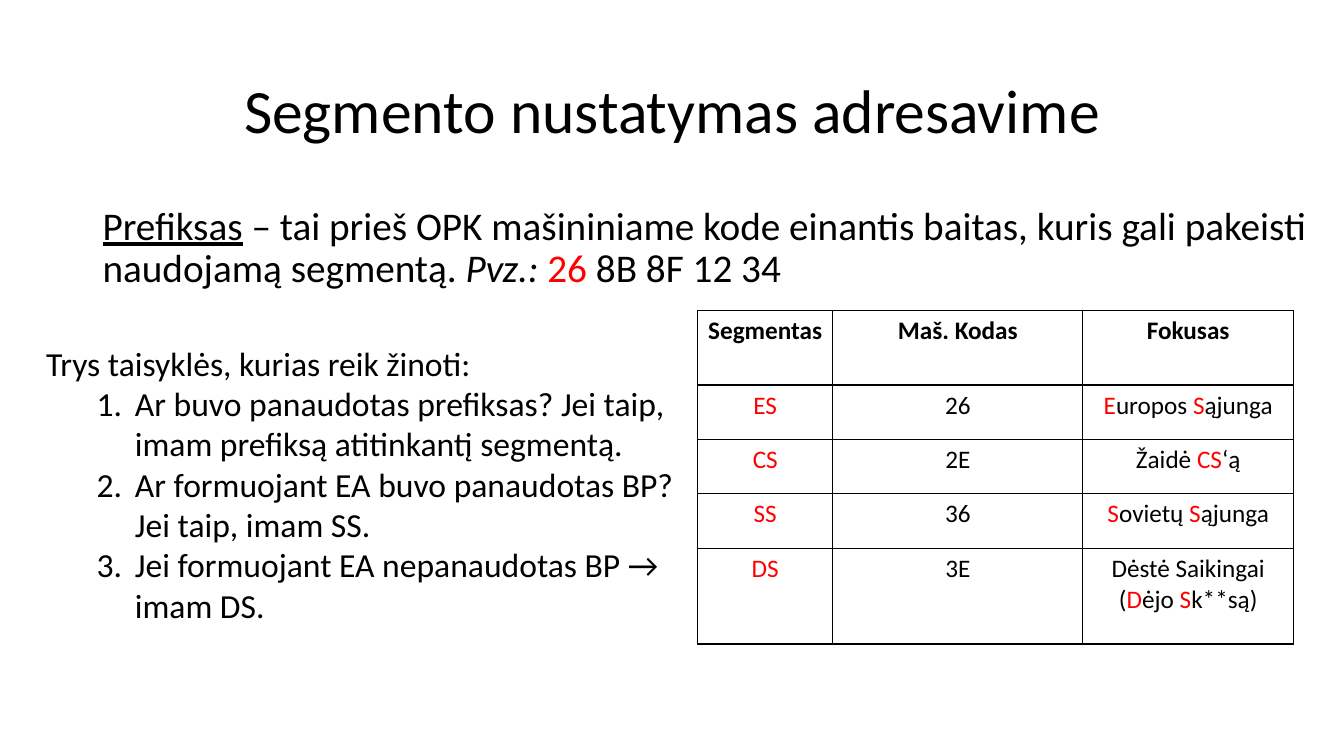
"""Build the slide on choosing a segment in addressing."""
from dataclasses import dataclass

from lxml.etree import SubElement
from pptx import Presentation
from pptx.dml.color import RGBColor
from pptx.enum.text import MSO_ANCHOR, PP_ALIGN
from pptx.oxml import parse_xml
from pptx.oxml.ns import nsdecls, qn
from pptx.util import Pt

PX = 9144
FONT = "Calibri"
BLACK, RED, WHITE = "000000", "FF0000", "FFFFFF"


@dataclass(frozen=True)
class Span:
    text: str
    color: str = BLACK
    bold: bool = False
    italic: bool = False
    underline: bool = False


@dataclass(frozen=True)
class Area:
    left: int
    top: int
    width: int
    height: int

    def emu(self) -> tuple[int, ...]:
        return tuple(side * PX for side in (self.left, self.top, self.width, self.height))


TITLE_AREA = Area(92, 40, 1150, 145)
PREFIX_AREA = Area(92, 200, 1224, 100)
RULES_AREA = Area(36, 335, 668, 293)
TABLE_AREA = Area(692, 308, 591, 333)
COLUMN_WIDTHS = (134, 248, 209)
ROW_HEIGHTS = (74, 54, 54, 54, 95)

PREFIX = [
    Span("Prefiksas", underline=True),
    Span(" – tai prieš OPK mašininiame kode einantis baitas, "
         "kuris gali pakeisti naudojamą segmentą. "),
    Span("Pvz.: ", italic=True),
    Span("26", RED),
    Span(" 8B 8F 12 34"),
]
RULES_HEADING = "Trys taisyklės, kurias reik žinoti:"
RULES = [
    "Ar buvo panaudotas prefiksas? Jei taip, imam prefiksą atitinkantį segmentą.",
    "Ar formuojant EA buvo panaudotas BP? Jei taip, imam SS.",
    "Jei formuojant EA nepanaudotas BP → imam DS.",
]
HEADINGS = ("Segmentas", "Maš. Kodas", "Fokusas")
SEGMENTS = [
    ("ES", "26", [Span("E", RED), Span("uropos "), Span("S", RED), Span("ąjunga")]),
    ("CS", "2E", [Span("Žaidė "), Span("CS", RED), Span("‘ą")]),
    ("SS", "36", [Span("S", RED), Span("ovietų "), Span("S", RED), Span("ąjunga")]),
    ("DS", "3E", [Span("Dėstė Saikingai\n"), Span("("), Span("D", RED), Span("ėjo "),
                  Span("S", RED), Span("k**są)")]),
]


def rgb(color: str) -> RGBColor:
    return RGBColor.from_string(color)


def write(para, spans: list[Span], size: int) -> None:
    for span in spans:
        run = para.add_run()
        run.text = span.text.rstrip("\n")
        font = run.font
        font.name, font.size = FONT, Pt(size)
        font.bold, font.italic, font.underline = span.bold, span.italic, span.underline
        font.color.rgb = rgb(span.color)
        if span.text.endswith("\n"):
            para.add_line_break()


def add_text_frame(page, area: Area):
    frame = page.shapes.add_textbox(*area.emu()).text_frame
    frame.word_wrap = True
    return frame


def number(para) -> None:
    properties = para._p.get_or_add_pPr()
    properties.set("marL", str(88 * PX))
    properties.set("indent", str(-38 * PX))
    SubElement(properties, qn("a:buFont"), typeface="+mj-lt")
    SubElement(properties, qn("a:buAutoNum"), type="arabicPeriod")


def outline(cell, color: str) -> None:
    properties = cell._tc.get_or_add_tcPr()
    for position, side in enumerate(("lnL", "lnR", "lnT", "lnB")):
        properties.insert(position, parse_xml(
            f'<a:{side} {nsdecls("a")} w="{Pt(1)}"><a:solidFill>'
            f'<a:srgbClr val="{color}"/></a:solidFill></a:{side}>'))


def fill_cell(cell, spans: list[Span]) -> None:
    cell.fill.solid()
    cell.fill.fore_color.rgb = rgb(WHITE)
    outline(cell, BLACK)
    cell.margin_left = cell.margin_right = 5 * PX
    para = cell.text_frame.paragraphs[0]
    para.alignment = PP_ALIGN.CENTER
    write(para, spans, 18)


def add_title(page) -> None:
    title = page.shapes.title
    title.left, title.top, title.width, title.height = TITLE_AREA.emu()
    title.text_frame.vertical_anchor = MSO_ANCHOR.MIDDLE
    para = title.text_frame.paragraphs[0]
    para.alignment, para.line_spacing = PP_ALIGN.CENTER, 0.9
    write(para, [Span("Segmento nustatymas adresavime")], 44)


def add_prefix(page) -> None:
    para = add_text_frame(page, PREFIX_AREA).paragraphs[0]
    para.line_spacing, para.space_before = 0.9, Pt(10)
    write(para, PREFIX, 28)


def add_rules(page) -> None:
    frame = add_text_frame(page, RULES_AREA)
    write(frame.paragraphs[0], [Span(RULES_HEADING)], 24)
    for rule in RULES:
        para = frame.add_paragraph()
        para.level = 1
        number(para)
        write(para, [Span(rule)], 24)


def add_segment_table(page) -> None:
    rows = [[[Span(heading, bold=True)] for heading in HEADINGS]]
    rows += [[[Span(name, RED)], [Span(code)], focus] for name, code, focus in SEGMENTS]
    table = page.shapes.add_table(len(rows), len(HEADINGS), *TABLE_AREA.emu()).table
    table.first_row = table.horz_banding = False
    for column, width in zip(table.columns, COLUMN_WIDTHS):
        column.width = width * PX
    for row, height, contents in zip(table.rows, ROW_HEIGHTS, rows):
        row.height = height * PX
        for cell, spans in zip(row.cells, contents):
            fill_cell(cell, spans)


def main() -> None:
    deck = Presentation()
    deck.slide_width, deck.slide_height = 1333 * PX, 750 * PX
    page = deck.slides.add_slide(deck.slide_layouts.get_by_name("Title Only"))
    add_title(page)
    add_prefix(page)
    add_rules(page)
    add_segment_table(page)
    deck.save("out.pptx")


if __name__ == "__main__":
    main()
